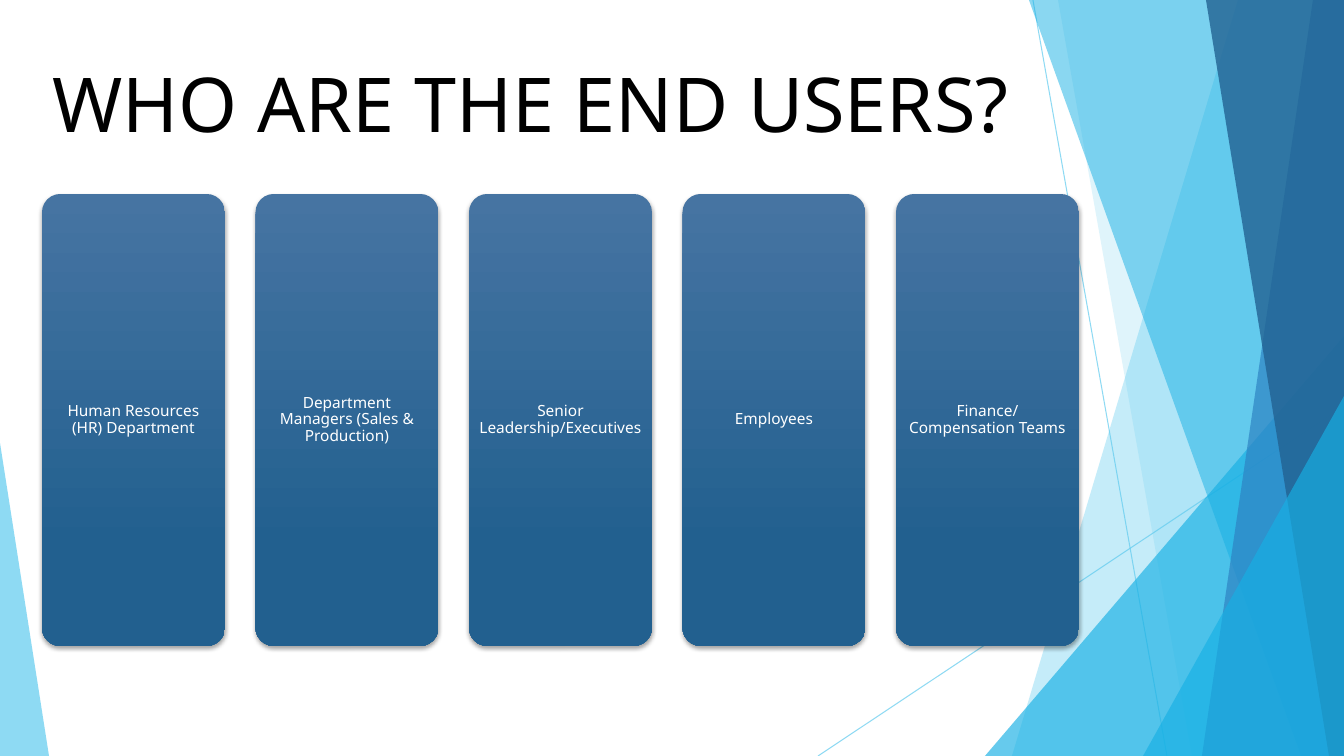
"""Build the slide that names the five end user groups."""
from pptx import Presentation
from pptx import util as u
from pptx.dml.color import RGBColor
from pptx.enum import shapes, text
from pptx.oxml import parse_xml
from pptx.oxml.ns import nsdecls, qn

TITLE = "WHO ARE THE END USERS?"
USERS = [
    "Human Resources (HR) Department",
    "Department Managers (Sales & Production)",
    "Senior Leadership/Executives",
    "Employees",
    "Finance/Compensation Teams",
]
FONT = "Noto Sans"
COLORS = {
    "ink": "000000", "paper": "FFFFFF", "sky": "5FCBEF", "cyan": "17B0E4",
    "blue": "2E83C3", "navy": "226292", "card_top": "4674A2", "card_base": "22608F",
}
RAYS = [(1033, 0, 1167, 756), (1344, 406, 818, 756)]
FACETS = [
    ("band", (1238, 1012), "sky", 36),
    ("band", (1058, 1192), "sky", 20),
    ("triangle", (985, 336, 359, 420, 1), "cyan", 66),
    ("band", (1029, 1301), "cyan", 50),
    ("band", (1313, 1202), "blue", 70),
    ("band", (1206, 1329), "navy", 80),
    ("triangle", (1143, 396, 201, 360, 1), "cyan", 66),
    ("triangle", (0, 443, 49, 313, 0), "sky", 70),
]
WIDTH, HEIGHT = 1344, 756
TITLE_BOX = (42, 51, 978, 102)
ROW_LEFT, ROW_RIGHT, CARD_TOP = 42, 1079, 194
CARD_WIDTH, CARD_HEIGHT, CARD_INSET = 183, 452, 4
SCALE = 914400 / 100.8


def px(value):
    return u.Emu(round(value * SCALE))


def rgb(name):
    return RGBColor.from_string(COLORS[name])


def set_opacity(part, percent):
    for color in part.element.spPr.iter(qn("a:srgbClr")):
        color.append(parse_xml(f'<a:alpha {nsdecls("a")} val="{percent * 1000}"/>'))


def write(frame, words, size, color, align):
    frame.word_wrap = True
    frame.auto_size = text.MSO_AUTO_SIZE.NONE
    frame.vertical_anchor = text.MSO_ANCHOR.MIDDLE
    paragraph = frame.paragraphs[0]
    paragraph.alignment = align
    run = paragraph.add_run()
    run.text = words
    run.font.size = u.Pt(size)
    run.font.name = FONT
    run.font.color.rgb = rgb(color)
    return paragraph


def add_ray(slide, ends):
    ray = slide.shapes.add_connector(shapes.MSO_CONNECTOR.STRAIGHT, *map(px, ends))
    ray.line.color.rgb = rgb("sky")
    ray.line.width = u.Pt(0.75)
    set_opacity(ray, 70)
    ray.element.spPr.append(parse_xml(f'<a:effectLst {nsdecls("a")}/>'))


def add_facet(slide, kind, geometry, color, opacity):
    if kind == "band":
        top_x, bottom_x = geometry
        outline = slide.shapes.build_freeform(top_x, 0, scale=SCALE)
        outline.add_line_segments([(WIDTH, 0), (WIDTH, HEIGHT), (bottom_x, HEIGHT)])
        facet = outline.convert_to_shape()
    else:
        *box, apex = geometry
        facet = slide.shapes.add_shape(
            shapes.MSO_SHAPE.ISOSCELES_TRIANGLE, *map(px, box))
        facet.adjustments[0] = apex
    facet.fill.solid()
    facet.fill.fore_color.rgb = rgb(color)
    set_opacity(facet, opacity)
    facet.line.fill.background()
    facet.shadow.inherit = False


def add_card(slide, left, user):
    card = slide.shapes.add_shape(
        shapes.MSO_SHAPE.ROUNDED_RECTANGLE,
        *map(px, (left, CARD_TOP, CARD_WIDTH, CARD_HEIGHT)))
    card.adjustments[0] = 0.1
    card.fill.gradient()
    card.fill.gradient_angle = 270
    stops = [(0, "card_top"), (0.78, "card_base")]
    for stop, (position, color) in zip(card.fill.gradient_stops, stops):
        stop.position = position
        stop.color.rgb = rgb(color)
    card.line.fill.background()
    card.shadow.inherit = False
    card.element.spPr.find(qn("a:effectLst")).append(parse_xml(
        f'<a:outerShdw {nsdecls("a")} blurRad="{u.Pt(3)}" dist="{u.Pt(2)}" '
        f'dir="5400000" rotWithShape="0"><a:srgbClr val="{COLORS["ink"]}">'
        '<a:alpha val="35000"/></a:srgbClr></a:outerShdw>'))
    frame = card.text_frame
    frame.margin_left = frame.margin_right = px(CARD_INSET)
    frame.margin_top = frame.margin_bottom = px(CARD_INSET)
    label = write(frame, user, 11, "paper", text.PP_ALIGN.CENTER)
    label.line_spacing = 0.9


def main():
    deck = Presentation()
    deck.slide_width, deck.slide_height = px(WIDTH), px(HEIGHT)
    slide = deck.slides.add_slide(deck.slide_layouts[5])
    slide.background.fill.solid()
    slide.background.fill.fore_color.rgb = rgb("paper")

    for ends in RAYS:
        add_ray(slide, ends)
    for facet in FACETS:
        add_facet(slide, *facet)

    title = slide.shapes.title
    title.left, title.top, title.width, title.height = map(px, TITLE_BOX)
    title.text_frame.margin_right = 0
    write(title.text_frame, TITLE, 54, "ink", text.PP_ALIGN.LEFT)

    pitch = (ROW_RIGHT - ROW_LEFT - CARD_WIDTH) / (len(USERS) - 1)
    for index, user in enumerate(USERS):
        add_card(slide, ROW_LEFT + index * pitch, user)

    deck.save("out.pptx")


if __name__ == "__main__":
    main()
